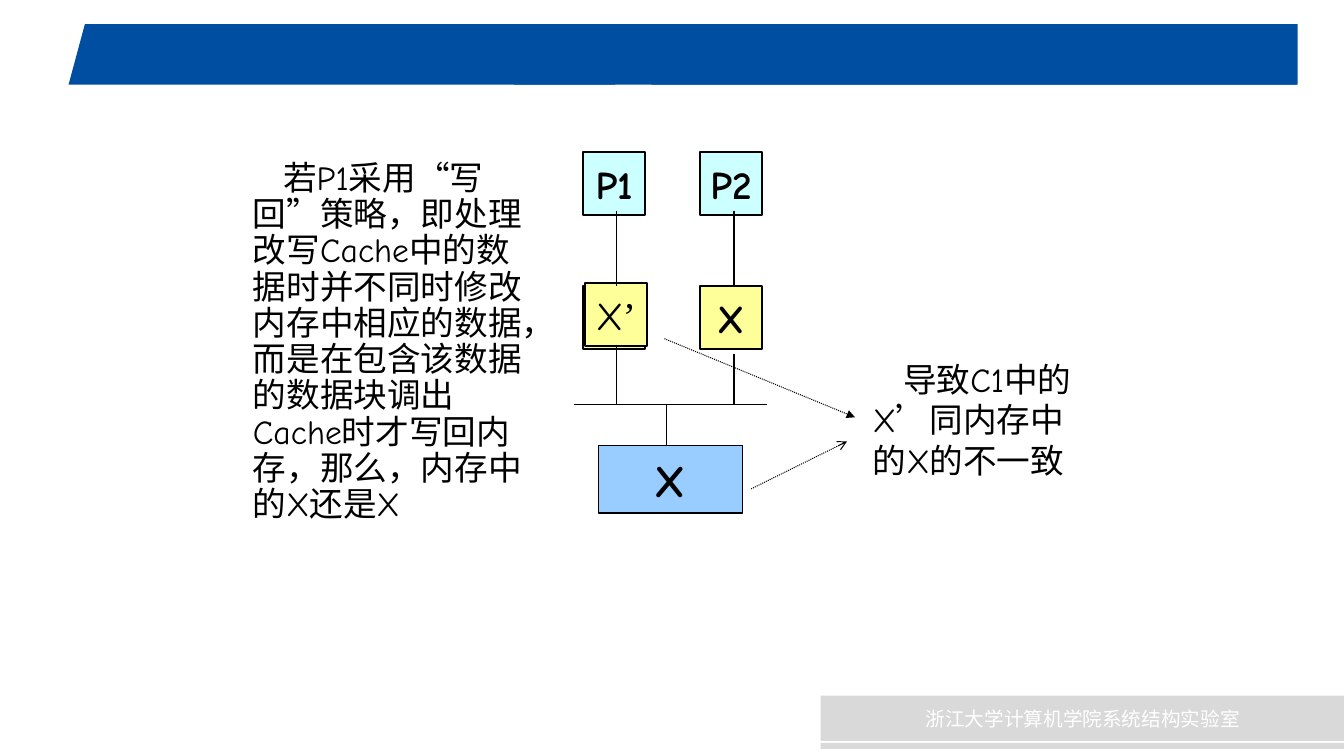
"""Builds the slide on write-back caches and memory inconsistency."""
from dataclasses import dataclass

from lxml.etree import SubElement
from pptx import Presentation
from pptx.dml.color import RGBColor
from pptx.enum.dml import MSO_LINE_DASH_STYLE as Dash
from pptx.enum.shapes import MSO_CONNECTOR as Connector, MSO_SHAPE as Preset
from pptx.enum.text import MSO_ANCHOR as Anchor, PP_ALIGN as Align
from pptx.oxml.ns import qn
from pptx.util import Inches, Pt


@dataclass(frozen=True)
class Theme:
    """Colours, fonts and type sizes of the slide."""
    band: str = "004EA2"
    footer: str = "D9D9D9"
    footer_text: str = "FFFFFF"
    ink: str = "000000"
    processor: str = "CCFFFF"
    cache: str = "FFFF99"
    memory: str = "99CCFF"
    latin: str = "Comic Neue"
    quote: str = "Times New Roman"
    chinese: str = "Noto Sans CJK SC"
    footer_size: float = 14
    body_size: float = 24
    node_size: float = 28
    memory_size: float = 32
    thin: float = 0.75
    thick: float = 1.25


class SlideBuilder:
    """Draws styled elements on the current slide."""

    def __init__(self, slide, theme):
        self.shapes = slide.shapes
        self.theme = theme

    def add_text(self, paragraph, text, size, font=None, color=None, bold=False):
        """Adds text to a paragraph, with curly quotes in their own font."""
        theme = self.theme
        pieces = [""]
        for letter in text:
            if letter in "“”’":
                pieces += [letter, ""]
            else:
                pieces[-1] += letter
        for piece in filter(None, pieces):
            run = paragraph.add_run()
            run.text = piece
            face = theme.quote if piece in "“”’" else font or theme.latin
            for name, value in {"name": face, "size": Pt(size), "bold": bold}.items():
                setattr(run.font, name, value)
            run.font.color.rgb = RGBColor.from_string(color or theme.ink)
            SubElement(run.font._element, qn("a:ea"), typeface=theme.chinese)

    def block(self, area, fill, preset=Preset.RECTANGLE, outline=None):
        """Adds a filled preset shape, outlined when a width is given."""
        shape = self.shapes.add_shape(preset, *map(Inches, area))
        shape.shadow.inherit = False
        shape.fill.solid()
        shape.fill.fore_color.rgb = RGBColor.from_string(fill)
        if outline:
            shape.line.color.rgb = RGBColor.from_string(self.theme.ink)
            shape.line.width = Pt(outline)
        else:
            shape.line.fill.background()
        return shape

    def label(self, shape, text, size, **style):
        """Centres text in a shape."""
        frame = shape.text_frame
        for name, value in {"word_wrap": False, "vertical_anchor": Anchor.MIDDLE}.items():
            setattr(frame, name, value)
        frame.paragraphs[0].alignment = Align.CENTER
        self.add_text(frame.paragraphs[0], text, size, **style)

    def note(self, area, text, **spacing):
        """Adds a wrapped explanation with an indented first line."""
        frame = self.shapes.add_textbox(*map(Inches, area)).text_frame
        frame.word_wrap = True
        paragraph = frame.paragraphs[0]
        for name, value in spacing.items():
            setattr(paragraph, name, value)
        paragraph._p.get_or_add_pPr().set("indent", str(Inches(0.3)))
        self.add_text(paragraph, text, self.theme.body_size)

    def link(self, start, end, head=None):
        """Adds a plain line, or a dotted arrow when a head is given."""
        connector = self.shapes.add_connector(
            Connector.STRAIGHT, *map(Inches, (*start, *end)))
        connector.line.color.rgb = RGBColor.from_string(self.theme.ink)
        connector.line.width = Pt(self.theme.thin)
        properties = connector._element.spPr
        if head:
            connector.line.dash_style = Dash.ROUND_DOT
            SubElement(properties.find(qn("a:ln")), qn("a:tailEnd"), type=head)
        SubElement(properties, qn("a:effectLst"))


def main():
    """Builds and saves the slide."""
    theme = Theme()
    deck = Presentation()
    deck.slide_width, deck.slide_height = Inches(13.33), Inches(7.5)
    builder = SlideBuilder(deck.slides.add_slide(deck.slide_layouts[6]), theme)

    band_end = builder.block((0.68, 0.24, 5.42, 0.6), theme.band, Preset.TRAPEZOID)
    band_end.adjustments[0] = 0.27
    for area in ((5.1, 0.24, 7.77, 0.6), (6.46, 0.79, 6.4, 0.05)):
        builder.block(area, theme.band)
    footer = builder.block((8.14, 6.9, 5.2, 0.45), theme.footer)
    builder.label(footer, "浙江大学计算机学院系统结构实验室", theme.footer_size,
                  font=theme.chinese, color=theme.footer_text)
    builder.block((8.14, 7.37, 5.2, 0.06), theme.footer)

    side, bus = 0.62, 4.01
    nodes = (
        (5.78, 1.51, theme.processor, "P1", True),
        (5.78, 2.84, theme.cache, "", True),
        (6.94, 1.51, theme.processor, "P2", True),
        (6.94, 2.84, theme.cache, "X", True),
        (5.8, 2.81, theme.cache, "X’", False),
    )
    for left, top, fill, name, bold in nodes:
        node = builder.block((left, top, side, side), fill, outline=theme.thick)
        if name:
            builder.label(node, name, theme.node_size, bold=bold)

    for column, cache_bottom in ((6.11, 3.42), (7.28, 3.51)):
        builder.link((column, 2.09), (column, 2.84))
        builder.link((column, cache_bottom), (column, bus))
    builder.link((5.69, bus), (7.61, bus))
    builder.link((6.61, bus), (6.61, 4.42))
    memory = builder.block((5.94, 4.42, 1.42, 0.67), theme.memory, outline=theme.thin)
    builder.label(memory, "X", theme.memory_size, bold=True)

    builder.note(
        (2.41, 1.55, 3.03, 3.74),
        "若P1采用“写回”策略，即处理改写Cache中的数据时并不同时修改内存中相应的数据，"
        "而是在包含该数据的数据块调出Cache时才写回内存，那么，内存中的X还是X",
        line_spacing=0.9, space_before=Pt(4.8))
    builder.link((6.59, 3.36), (8.48, 4.14), head="triangle")
    builder.link((7.45, 4.85), (8.4, 4.38), head="arrow")
    builder.note((8.56, 3.51, 2.36, 1.31), "导致C1中的X’同内存中的X的不一致")

    deck.save("out.pptx")


if __name__ == "__main__":
    main()
